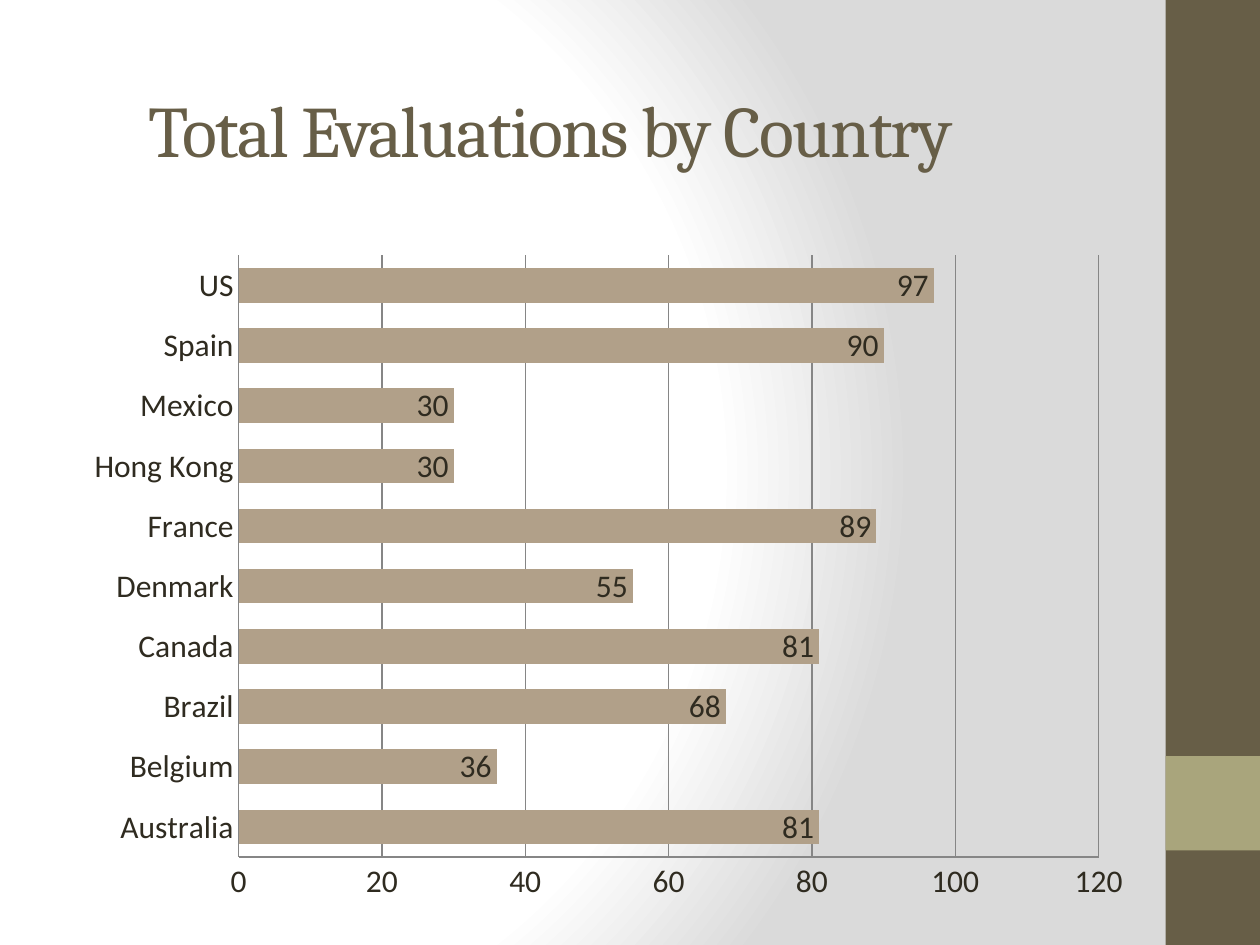
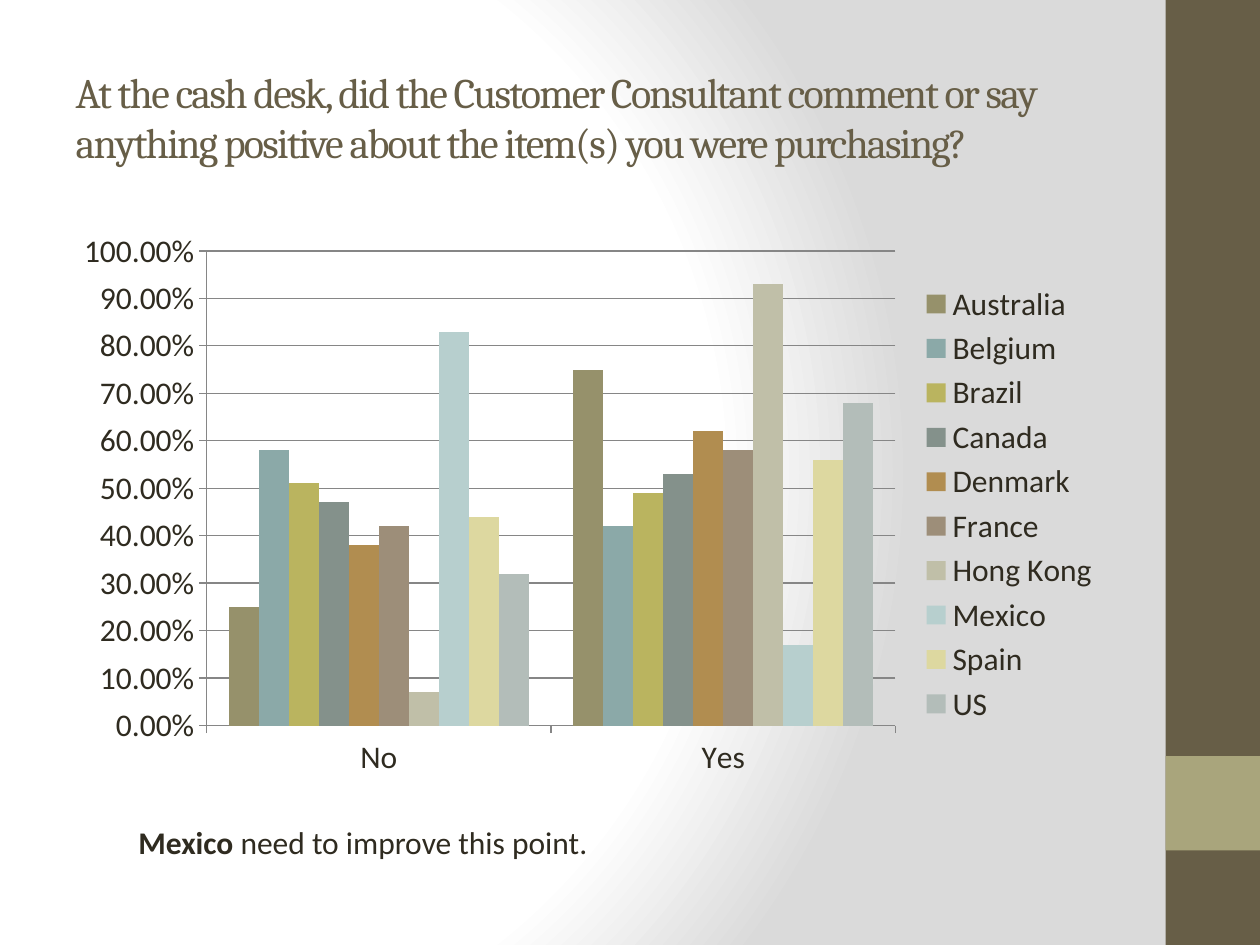
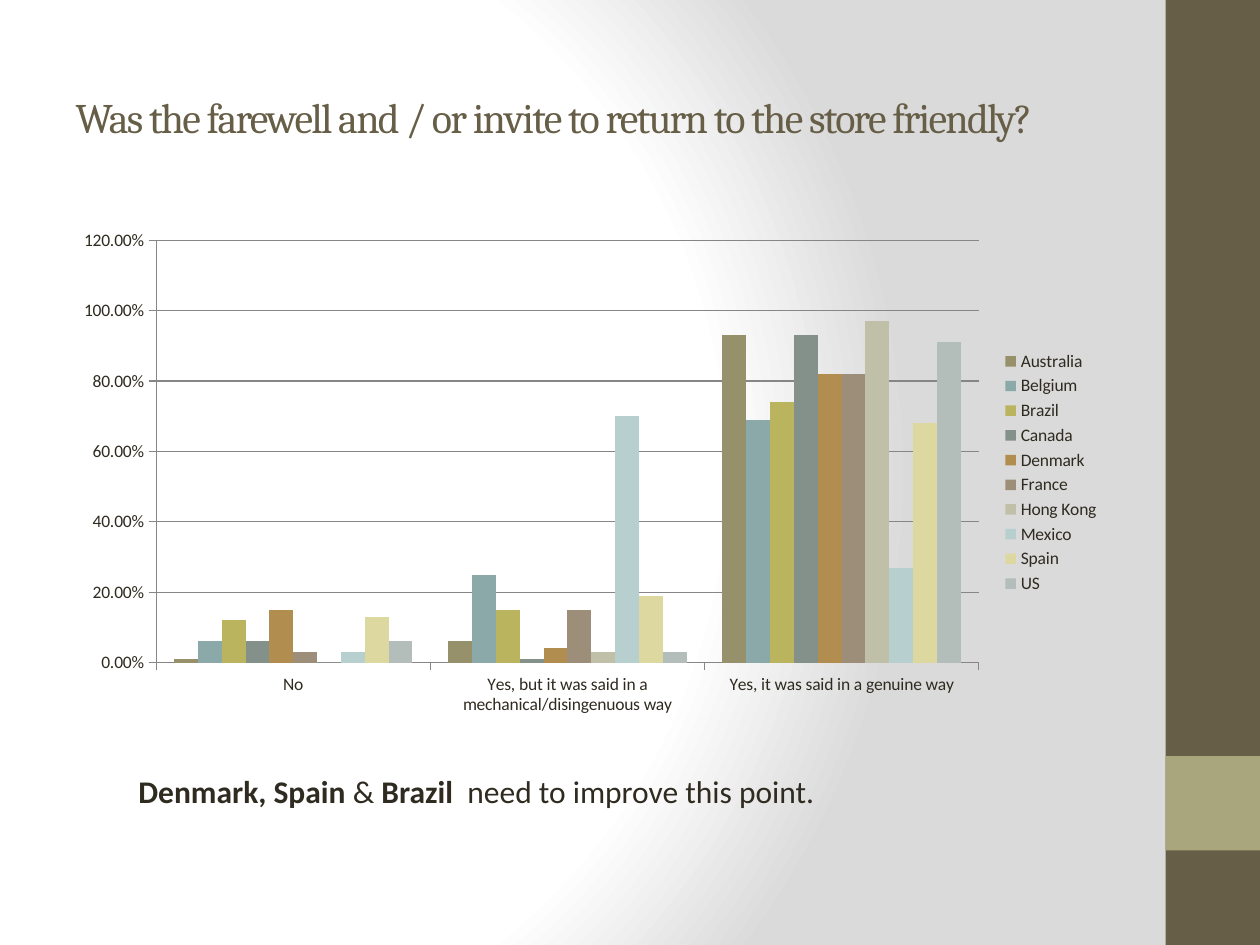
from dataclasses import dataclass

from lxml import etree
from pptx import Presentation
from pptx.chart.data import CategoryChartData
from pptx.dml.color import RGBColor
from pptx.enum import chart as charts, shapes, text
from pptx.oxml import parse_xml
from pptx.oxml.ns import nsdecls, qn
from pptx.util import Inches, Pt


@dataclass(frozen=True)
class Theme:
    title_font: str = "Cambria"
    body_font: str = "Calibri"
    brown: str = "675E47"
    olive: str = "A9A57C"
    ink: str = "2F2B20"
    grid: str = "868686"
    bar: str = "B1A089"
    white: str = "FFFFFF"
    shade: str = "DADADA"
    country_colors: tuple = ("96916B", "8BA9A8", "BAB45F", "84918B", "B18D50",
                             "9D8E79", "C0BFA8", "B7CFCE", "DDD8A0", "B3BDB9")
    big_title: float = 41.4
    question: float = 24
    body: float = 18
    small: float = 10


THEME = Theme()
COUNTRIES = ("Australia", "Belgium", "Brazil", "Canada", "Denmark",
             "France", "Hong Kong", "Mexico", "Spain", "US")
QUESTION_BOX = (0.5, 0.3, 8.33, 1.25)


def color(code):
    return RGBColor.from_string(code)


def lengths(box):
    return [Inches(value) for value in box]


def add_span(para, words, size, font=THEME.body_font, fill=THEME.ink, bold=None, spacing=None):
    span = para.add_run()
    span.text = words
    span.font.size, span.font.name, span.font.bold = Pt(size), font, bold
    span.font.color.rgb = color(fill)
    if spacing is not None:
        span._r.get_or_add_rPr().set("spc", str(round(spacing * 100)))


# Shared background and side band, kept on the master
def style_master(deck, page):
    master = deck.slide_master
    stops = ((0, THEME.white), (75, THEME.white), (100, THEME.shade))
    stop_xml = "".join(f'<a:gs pos="{place * 1000}"><a:srgbClr val="{code}"/></a:gs>'
                       for place, code in stops)
    backdrop = parse_xml(
        f'<p:bg {nsdecls("p", "a")}><p:bgPr><a:gradFill rotWithShape="1">'
        f'<a:gsLst>{stop_xml}</a:gsLst><a:path path="circle">'
        '<a:fillToRect l="20000" t="50000" r="100000" b="50000"/></a:path>'
        '</a:gradFill><a:effectLst/></p:bgPr></p:bg>')
    content = master._element.cSld
    for old in content.findall(qn("p:bg")):
        content.remove(old)
    content.insert(0, backdrop)

    bands = (((9.25, 0, 0.75, 7.5), THEME.brown), ((9.25, 6, 0.75, 0.75), THEME.olive))
    for position, (box, fill) in enumerate(bands, start=2):
        band = page.shapes.add_shape(shapes.MSO_SHAPE.RECTANGLE, *lengths(box))
        band.shadow.inherit = False
        band.fill.solid()
        band.fill.fore_color.rgb = color(fill)
        band.line.fill.background()
        master.shapes._spTree.insert(position, band._element)


def set_title(page, words, box, size):
    title = page.shapes.title
    title.left, title.top, title.width, title.height = lengths(box)
    frame = title.text_frame
    frame.word_wrap = True
    frame.auto_size = text.MSO_AUTO_SIZE.NONE
    frame.vertical_anchor = text.MSO_ANCHOR.MIDDLE
    para = frame.paragraphs[0]
    para.alignment = text.PP_ALIGN.LEFT
    add_span(para, words, size, font=THEME.title_font, fill=THEME.brown, spacing=-1)


# Charts
def add_country_chart(page, box, kind, categories, series, colors, *, size, gap, overlap,
                      top, step, tick, number_format="General"):
    data = CategoryChartData(number_format=number_format)
    data.categories = categories
    for name, values in series:
        data.add_series(name, values)
    chart = page.shapes.add_chart(kind, *lengths(box), data).chart
    chart.has_title = False
    chart.has_legend = False
    chart.font.name, chart.font.size = THEME.body_font, Pt(size)
    chart.font.color.rgb = color(THEME.ink)

    plot = chart.plots[0]
    plot.gap_width, plot.overlap, plot.vary_by_categories = gap, overlap, False
    for bars, fill in zip(plot.series, colors):
        bars.invert_if_negative = False
        bars.format.fill.solid()
        bars.format.fill.fore_color.rgb = color(fill)

    values = chart.value_axis
    values.minimum_scale, values.maximum_scale, values.major_unit = 0, top, step
    values.has_major_gridlines = True
    values.tick_labels.number_format = number_format
    values.tick_labels.number_format_is_linked = False
    for axis in (chart.category_axis, values):
        axis.major_tick_mark = tick
        axis.minor_tick_mark = charts.XL_TICK_MARK.NONE
    for line in (chart.category_axis.format.line, values.format.line,
                 values.major_gridlines.format.line):
        line.width = Pt(0.75)
        line.color.rgb = color(THEME.grid)
    return chart


def add_totals_chart(page, box, totals):
    chart = add_country_chart(
        page, box, charts.XL_CHART_TYPE.BAR_CLUSTERED, COUNTRIES, [("Series 1", totals)],
        [THEME.bar], size=THEME.body, gap=75, overlap=40, top=120, step=20,
        tick=charts.XL_TICK_MARK.NONE)
    plot = chart.plots[0]
    plot.has_data_labels = True
    plot.data_labels.show_value = True
    plot.data_labels.position = charts.XL_LABEL_POSITION.INSIDE_END


def add_answer_chart(page, box, answers, size, top, step):
    series = zip(COUNTRIES, zip(*answers.values()))
    chart = add_country_chart(
        page, box, charts.XL_CHART_TYPE.COLUMN_CLUSTERED, list(answers), series,
        THEME.country_colors, size=size, gap=150, overlap=0, top=top, step=step,
        tick=charts.XL_TICK_MARK.OUTSIDE, number_format="0.00%")
    chart.has_legend = True
    chart.legend.position = charts.XL_LEGEND_POSITION.RIGHT
    chart.legend.include_in_layout = False


def add_remark(page, box, parts):
    frame = page.shapes.add_textbox(*lengths(box)).text_frame
    frame.word_wrap = True
    frame.auto_size = text.MSO_AUTO_SIZE.SHAPE_TO_FIT_TEXT
    for words, bold in parts:
        add_span(frame.paragraphs[0], words, THEME.body, bold=bold)


# Slide types
def fill_totals_page(page):
    set_title(page, "Total Evaluations by Country", (1.08, 0.75, 7.68, 0.54), THEME.big_title)
    add_totals_chart(page, (0.58, 1.92, 8.5, 5.33), (81, 36, 68, 81, 55, 89, 30, 30, 90, 97))


def fill_question_page(page, question, answers, remark, *, chart_height, size, top, step):
    left, chart_top, width = 0.5, 1.75, 8.33
    set_title(page, question, QUESTION_BOX, THEME.question)
    add_answer_chart(page, (left, chart_top, width, chart_height), answers, size, top, step)
    remark_gap = 0.23 if chart_height > 4 else 0.33
    add_remark(page, (1, chart_top + chart_height + remark_gap, 7.92, 0.4), remark)


def main():
    deck = Presentation()
    deck.slide_width, deck.slide_height = Inches(10), Inches(7.5)
    pages = [deck.slides.add_slide(deck.slide_layouts[5]) for _ in range(3)]
    style_master(deck, pages[0])

    fill_totals_page(pages[0])
    fill_question_page(
        pages[1],
        "At the cash desk, did the Customer Consultant comment or say anything positive "
        "about the item(s) you were purchasing?",
        {"No": (0.25, 0.58, 0.51, 0.47, 0.38, 0.42, 0.07, 0.83, 0.44, 0.32),
         "Yes": (0.75, 0.42, 0.49, 0.53, 0.62, 0.58, 0.93, 0.17, 0.56, 0.68)},
        [("Mexico", True), (" need to improve this point.", False)],
        chart_height=4.5, size=THEME.body, top=1, step=0.1)
    fill_question_page(
        pages[2],
        "Was the farewell and / or invite to return to the store friendly?",
        {"No": (0.01, 0.06, 0.12, 0.06, 0.15, 0.03, 0, 0.03, 0.13, 0.06),
         "Yes, but it was said in a mechanical/disingenuous way":
             (0.06, 0.25, 0.15, 0.01, 0.04, 0.15, 0.03, 0.7, 0.19, 0.03),
         "Yes, it was said in a genuine way":
             (0.93, 0.69, 0.74, 0.93, 0.82, 0.82, 0.97, 0.27, 0.68, 0.91)},
        [("Denmark, Spain ", True), ("& ", False), ("Brazil  ", True),
         ("need to improve this point.", False)],
        chart_height=4, size=THEME.small, top=1.2, step=0.2)
    deck.save("out.pptx")


if __name__ == "__main__":
    main()
